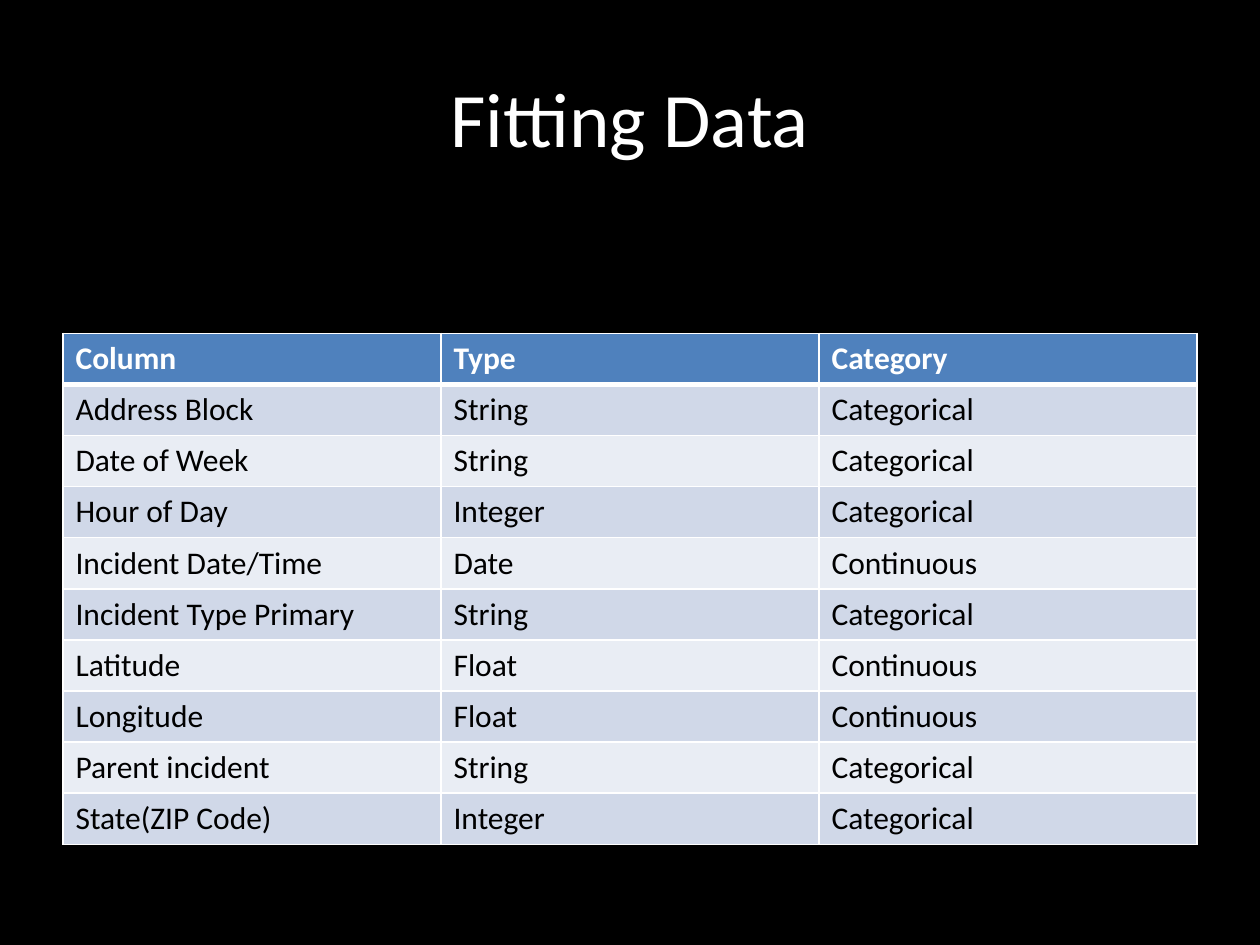
from dataclasses import dataclass

from lxml.etree import SubElement
from pptx import Presentation
from pptx.dml.color import RGBColor
from pptx.enum.text import MSO_VERTICAL_ANCHOR as Anchor, PP_PARAGRAPH_ALIGNMENT as Align
from pptx.oxml.ns import qn
from pptx.util import Cm, Pt


@dataclass(frozen=True)
class Theme:
    font: str = "Calibri"
    background: str = "000000"
    light: str = "FFFFFF"
    dark: str = "000000"
    header: str = "4F81BD"
    bands: tuple = ("D0D8E8", "E9EDF4")
    title_size: int = 44
    table_size: int = 18
    thin_line: int = 1
    header_line: int = 3


THEME = Theme()
LEFT, WIDTH = 1.27, 22.86
ROW_HEIGHT = 1.03

ROWS = [
    ("Column", "Type", "Category"),
    ("Address Block", "String", "Categorical"),
    ("Date of Week", "String", "Categorical"),
    ("Hour of Day", "Integer", "Categorical"),
    ("Incident Date/Time", "Date", "Continuous"),
    ("Incident Type Primary", "String", "Categorical"),
    ("Latitude", "Float", "Continuous"),
    ("Longitude", "Float", "Continuous"),
    ("Parent incident", "String", "Categorical"),
    ("State(ZIP Code)", "Integer", "Categorical"),
]


def write_text(text_frame, text, size, color, bold=False, align=Align.LEFT):
    paragraph = text_frame.paragraphs[0]
    paragraph.alignment = align
    run = paragraph.add_run()
    run.text = text
    formats = {"name": THEME.font, "size": Pt(size), "bold": bold}
    for attribute, value in formats.items():
        setattr(run.font, attribute, value)
    run.font.color.rgb = RGBColor.from_string(color)


def paint(fill, color):
    fill.solid()
    fill.fore_color.rgb = RGBColor.from_string(color)


def add_title(slide, text):
    shape = slide.shapes.add_textbox(Cm(LEFT), Cm(0.76), Cm(WIDTH), Cm(3.18))
    formats = {"word_wrap": True, "vertical_anchor": Anchor.MIDDLE}
    for attribute, value in formats.items():
        setattr(shape.text_frame, attribute, value)
    write_text(shape.text_frame, text, THEME.title_size, THEME.light, align=Align.CENTER)


def set_borders(cell, row_index):
    # The line under the header is shared by the first two rows
    widths = {side: THEME.thin_line for side in ("lnL", "lnR", "lnT", "lnB")}
    if row_index < 2:
        widths["lnT" if row_index else "lnB"] = THEME.header_line
    properties = cell._tc.get_or_add_tcPr()
    for side, width in widths.items():
        line = SubElement(properties, qn(f"a:{side}"), w=str(Pt(width)))
        fill = SubElement(line, qn("a:solidFill"))
        SubElement(fill, qn("a:srgbClr"), val=THEME.light)


def format_cell(cell, text, row_index):
    is_header = row_index == 0
    set_borders(cell, row_index)
    band = THEME.bands[(row_index - 1) % len(THEME.bands)]
    paint(cell.fill, THEME.header if is_header else band)
    color = THEME.light if is_header else THEME.dark
    write_text(cell.text_frame, text, THEME.table_size, color, bold=is_header)


def add_data_table(slide, rows):
    columns = len(rows[0])
    table = slide.shapes.add_table(
        len(rows), columns, Cm(LEFT), Cm(6.72), Cm(WIDTH), Cm(ROW_HEIGHT * len(rows))
    ).table
    for column in table.columns:
        column.width = Cm(WIDTH / columns)
    for row_index, values in enumerate(rows):
        table.rows[row_index].height = Cm(ROW_HEIGHT)
        for column_index, text in enumerate(values):
            format_cell(table.cell(row_index, column_index), text, row_index)


def main():
    # Slide and background
    presentation = Presentation()
    presentation.slide_width, presentation.slide_height = Cm(25.4), Cm(19.05)
    slide = presentation.slides.add_slide(presentation.slide_layouts[6])
    paint(slide.background.fill, THEME.background)

    # Content
    add_title(slide, "Fitting Data")
    add_data_table(slide, ROWS)

    presentation.save("out.pptx")


if __name__ == "__main__":
    main()
